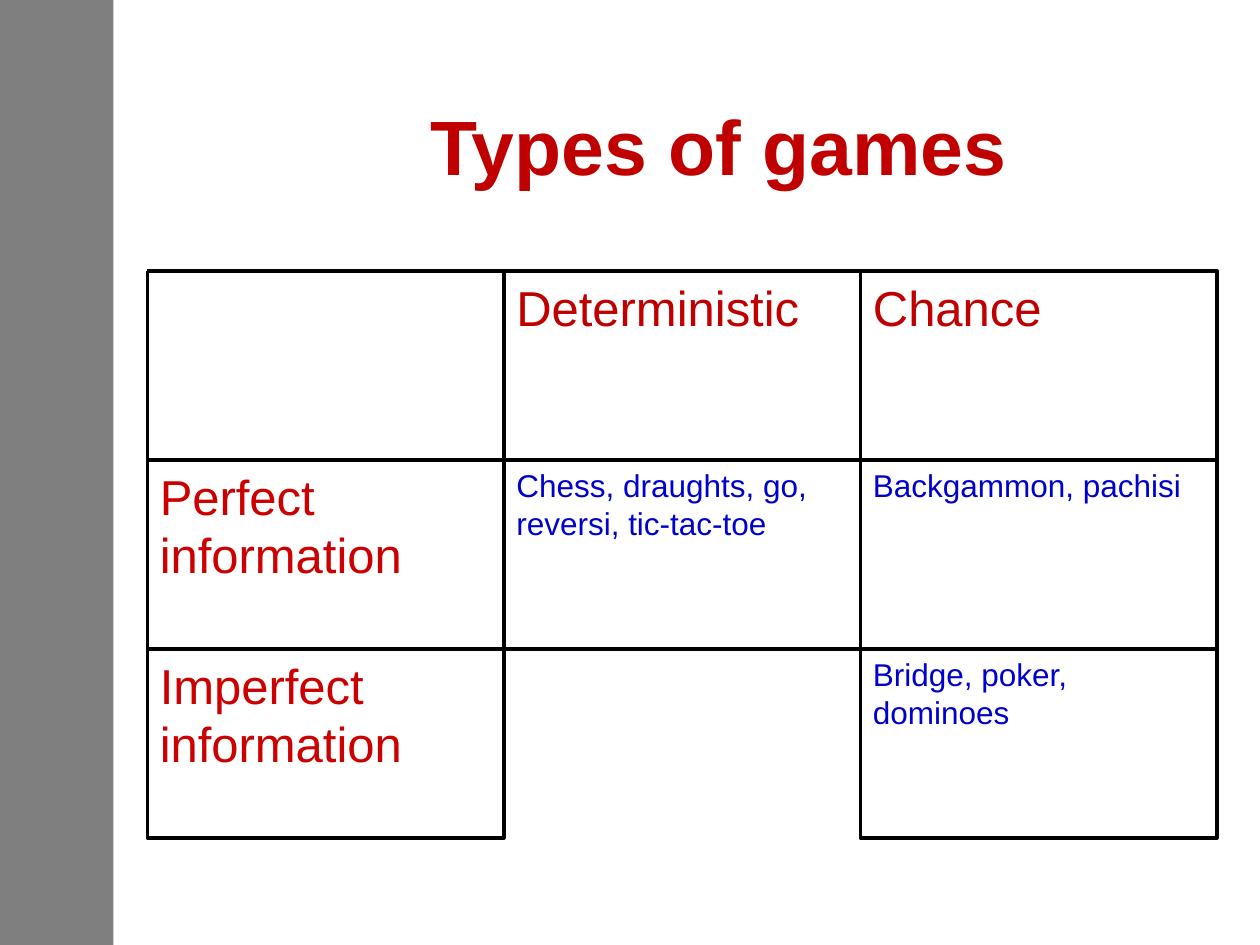
from lxml import etree
from pptx import Presentation
from pptx import util as u
from pptx.dml.color import RGBColor
from pptx.enum import shapes, text
from pptx.oxml import ns

COLORS = {"black": "000000", "white": "FFFFFF", "title": "C00000",
          "column": "C00000", "row": "CC0000", "games": "0000CC"}
FORMATS = {
    "title": {"size": u.Pt(44), "bold": True, "name": "Arial"},
    "column": {"size": u.Pt(28), "name": "Arial"},
    "row": {"size": u.Pt(28), "name": "Arial"},
    "games": {"size": u.Pt(18), "name": "Arial"},
}
LEFT, TOP, CELL_WIDTH, CELL_HEIGHT = 1.17, 2.15, 2.83, 1.5
LINE_WIDTH = u.Pt(2)


def color(name):
    return RGBColor.from_string(COLORS[name])


def grid_point(column, row):
    return u.Inches(LEFT + column * CELL_WIDTH), u.Inches(TOP + row * CELL_HEIGHT)


def write(frame, words, style, alignment, anchor):
    frame.word_wrap = True
    frame.vertical_anchor = anchor
    paragraph = frame.paragraphs[0]
    paragraph.alignment = alignment
    run = paragraph.add_run()
    run.text = words
    for attribute, value in FORMATS[style].items():
        setattr(run.font, attribute, value)
    run.font.color.rgb = color(style)


def add_sidebar(slide, width, height):
    shape = slide.shapes.add_shape(shapes.MSO_SHAPE.RECTANGLE, 0, 0, width, height)
    shape.shadow.inherit = False
    shape.line.fill.background()
    shape.fill.solid()
    shape.fill.fore_color.rgb = color("black")
    fill_color = shape._element.spPr.find(".//" + ns.qn("a:srgbClr"))
    etree.SubElement(fill_color, ns.qn("a:alpha"), val="50000")


def add_title(slide, words):
    box = slide.shapes.add_textbox(*map(u.Inches, (1.83, 0.65, 7.75, 1)))
    write(box.text_frame, words, "title", text.PP_ALIGN.CENTER, text.MSO_ANCHOR.MIDDLE)


def add_cell(container, column, row, words, style):
    shape = container.add_shape(shapes.MSO_SHAPE.RECTANGLE, *grid_point(column, row),
                                u.Inches(CELL_WIDTH), u.Inches(CELL_HEIGHT))
    shape.shadow.inherit = False
    shape.fill.solid()
    shape.fill.fore_color.rgb = color("white")
    shape.line.color.rgb = color("black")
    shape.line.width = LINE_WIDTH
    write(shape.text_frame, words, style, text.PP_ALIGN.LEFT, text.MSO_ANCHOR.TOP)


def add_rule(container, start, end):
    line = container.add_connector(shapes.MSO_CONNECTOR.STRAIGHT,
                                   *grid_point(*start), *grid_point(*end))
    line.line.color.rgb = color("black")
    line.line.width = LINE_WIDTH
    etree.SubElement(line._element.spPr, ns.qn("a:effectLst"))


def add_headings(slide, style, cells, rules):
    group = slide.shapes.add_group_shape().shapes
    for column, row, words in cells:
        add_cell(group, column, row, words, style)
    for start, end in rules:
        add_rule(group, start, end)


def main():
    presentation = Presentation()
    presentation.slide_width, presentation.slide_height = u.Inches(10), u.Inches(7.5)
    slide = presentation.slides.add_slide(presentation.slide_layouts[6])
    add_sidebar(slide, u.Inches(0.9), presentation.slide_height)
    add_title(slide, "Types of games")
    for column, row, words in [(2, 2, "Bridge, poker, dominoes"),
                               (2, 1, "Backgammon, pachisi"),
                               (1, 1, "Chess, draughts, go, reversi, tic-tac-toe")]:
        add_cell(slide.shapes, column, row, words, "games")
    add_headings(slide, "column", [(2, 0, "Chance"), (1, 0, "Deterministic")],
                 [((0, row), (3, row)) for row in range(2)])
    add_headings(slide, "row",
                 [(0, 2, "Imperfect information"), (0, 1, "Perfect information")],
                 [((column, 0), (column, 3)) for column in range(2)])
    presentation.save("out.pptx")


if __name__ == "__main__":
    main()
